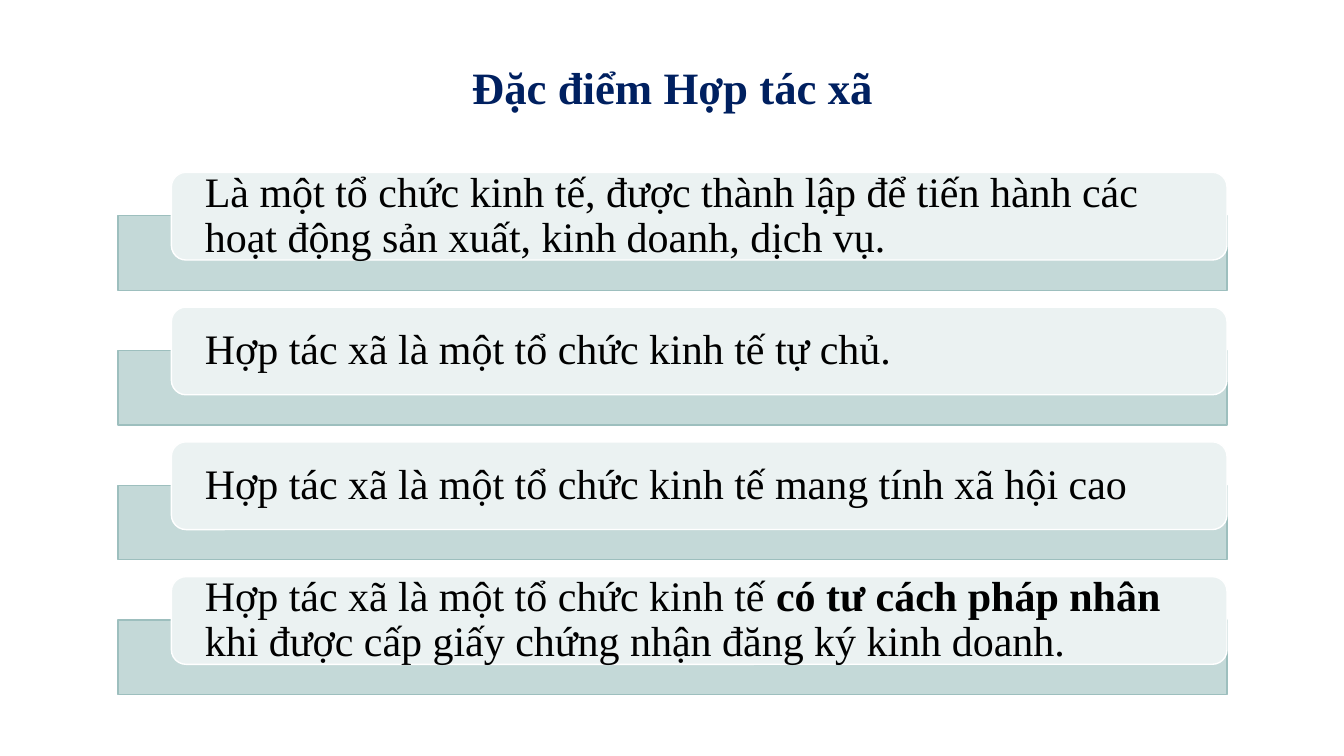
from dataclasses import dataclass

from pptx import Presentation
from pptx.dml.color import RGBColor
from pptx.enum import shapes, text
from pptx.util import Inches, Pt

NAVY = RGBColor(0x00, 0x20, 0x60)
BLACK = RGBColor(0x00, 0x00, 0x00)
WHITE = RGBColor(0xFF, 0xFF, 0xFF)
BAR_FILL = RGBColor(0xC4, 0xD9, 0xD8)
BAR_LINE = RGBColor(0x9D, 0xBF, 0xBE)
CARD_FILL = RGBColor(0xEB, 0xF2, 0xF2)

FONT = "Times New Roman"
LEFT, WIDTH = 1.17, 11
FIRST_TOP, PITCH = 1.71, 1.337
BAR_DROP = 0.43


@dataclass(frozen=True)
class Run:
    text: str
    bold: bool = False


FEATURES: list[list[Run]] = [
    [Run("Là một tổ chức kinh tế, được thành lập để tiến hành các "
         "hoạt động sản xuất, kinh doanh, dịch vụ.")],
    [Run("Hợp tác xã là một tổ chức kinh tế tự chủ.")],
    [Run("Hợp tác xã là một tổ chức kinh tế mang tính xã hội cao")],
    [Run("Hợp tác xã là một tổ chức kinh tế "),
     Run("có tư cách pháp nhân ", bold=True),
     Run("khi được cấp giấy chứng nhận đăng ký kinh doanh.")],
]


def write(sp, runs: list[Run], *, size: float, color: RGBColor,
          align=text.PP_ALIGN.LEFT, side: float = 0.1, edge: float = 0.05) -> None:
    """Fill a shape with one paragraph of formatted runs."""
    tf = sp.text_frame
    tf.word_wrap = True
    tf.vertical_anchor = text.MSO_ANCHOR.MIDDLE
    tf.margin_left = tf.margin_right = Inches(side)
    tf.margin_top = tf.margin_bottom = Inches(edge)
    p = tf.paragraphs[0]
    p.alignment = align
    p.line_spacing = 0.9
    for run in runs:
        r = p.add_run()
        r.text = run.text
        r.font.name = FONT
        r.font.size = Pt(size)
        r.font.bold = run.bold
        r.font.color.rgb = color


def add_panel(s, kind, left: float, top: float, width: float, height: float,
              fill: RGBColor, line: RGBColor):
    sp = s.shapes.add_shape(kind, Inches(left), Inches(top),
                            Inches(width), Inches(height))
    sp.shadow.inherit = False
    sp.fill.solid()
    sp.fill.fore_color.rgb = fill
    sp.line.color.rgb = line
    sp.line.width = Pt(1)
    return sp


def add_feature(s, top: float, runs: list[Run]) -> None:
    """Draw a bar with the rounded text card overlapping it."""
    add_panel(s, shapes.MSO_SHAPE.RECTANGLE, LEFT, top + BAR_DROP,
              WIDTH, 0.74, BAR_FILL, BAR_LINE)
    card = add_panel(s, shapes.MSO_SHAPE.ROUNDED_RECTANGLE, 1.7, top,
                     10.47, 0.87, CARD_FILL, WHITE)
    write(card, runs, size=30, color=BLACK, side=0.29, edge=0)


def main() -> None:
    prs = Presentation()
    prs.slide_width, prs.slide_height = Inches(13.33), Inches(7.5)
    s = prs.slides.add_slide(prs.slide_layouts[6])

    # Title
    title = s.shapes.add_textbox(Inches(LEFT), Inches(0.53),
                                 Inches(WIDTH), Inches(0.73))
    write(title, [Run("Đặc điểm Hợp tác xã", bold=True)], size=32,
          color=NAVY, align=text.PP_ALIGN.CENTER)

    # Feature list
    for i, runs in enumerate(FEATURES):
        add_feature(s, FIRST_TOP + i * PITCH, runs)

    prs.save("out.pptx")


if __name__ == "__main__":
    main()
